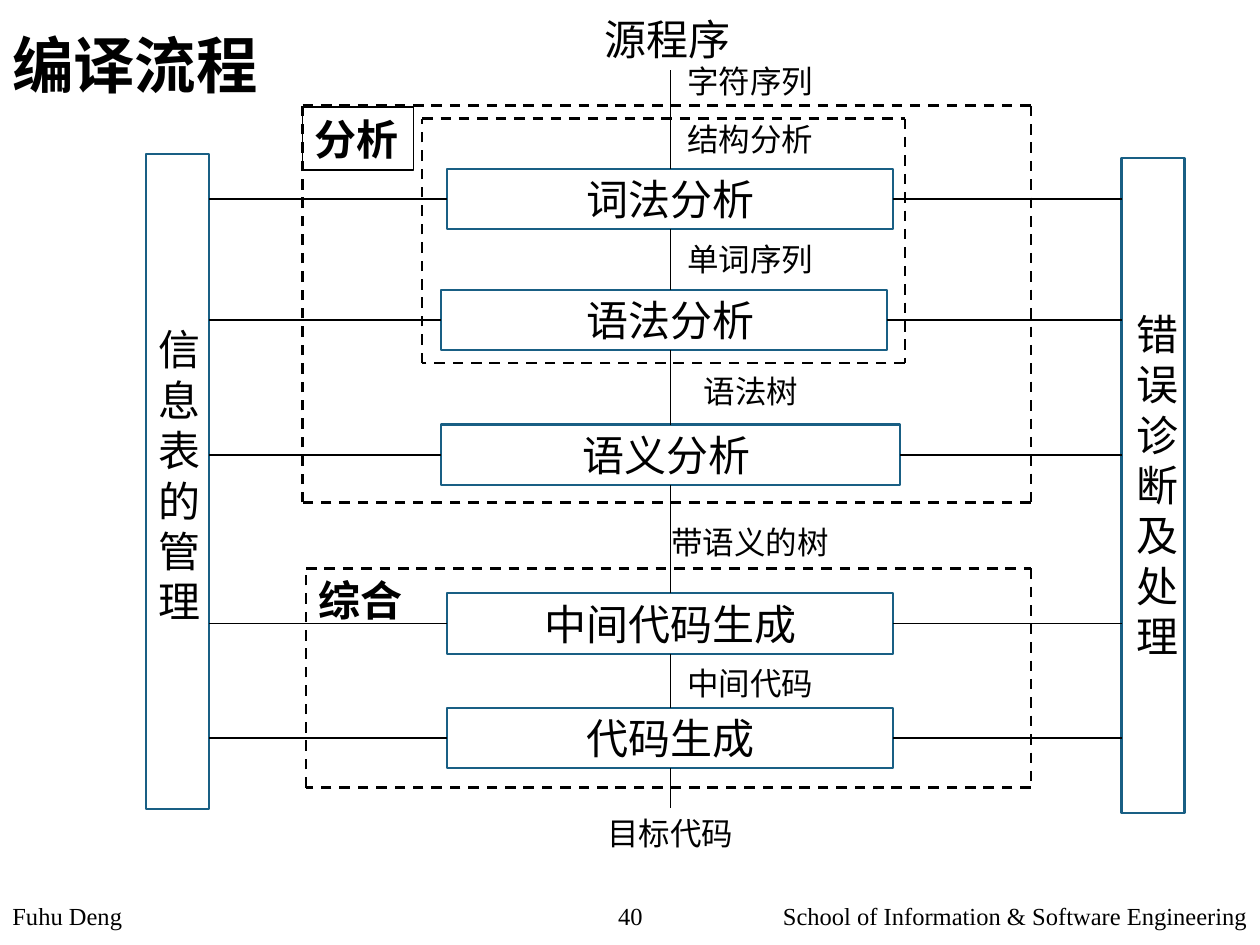
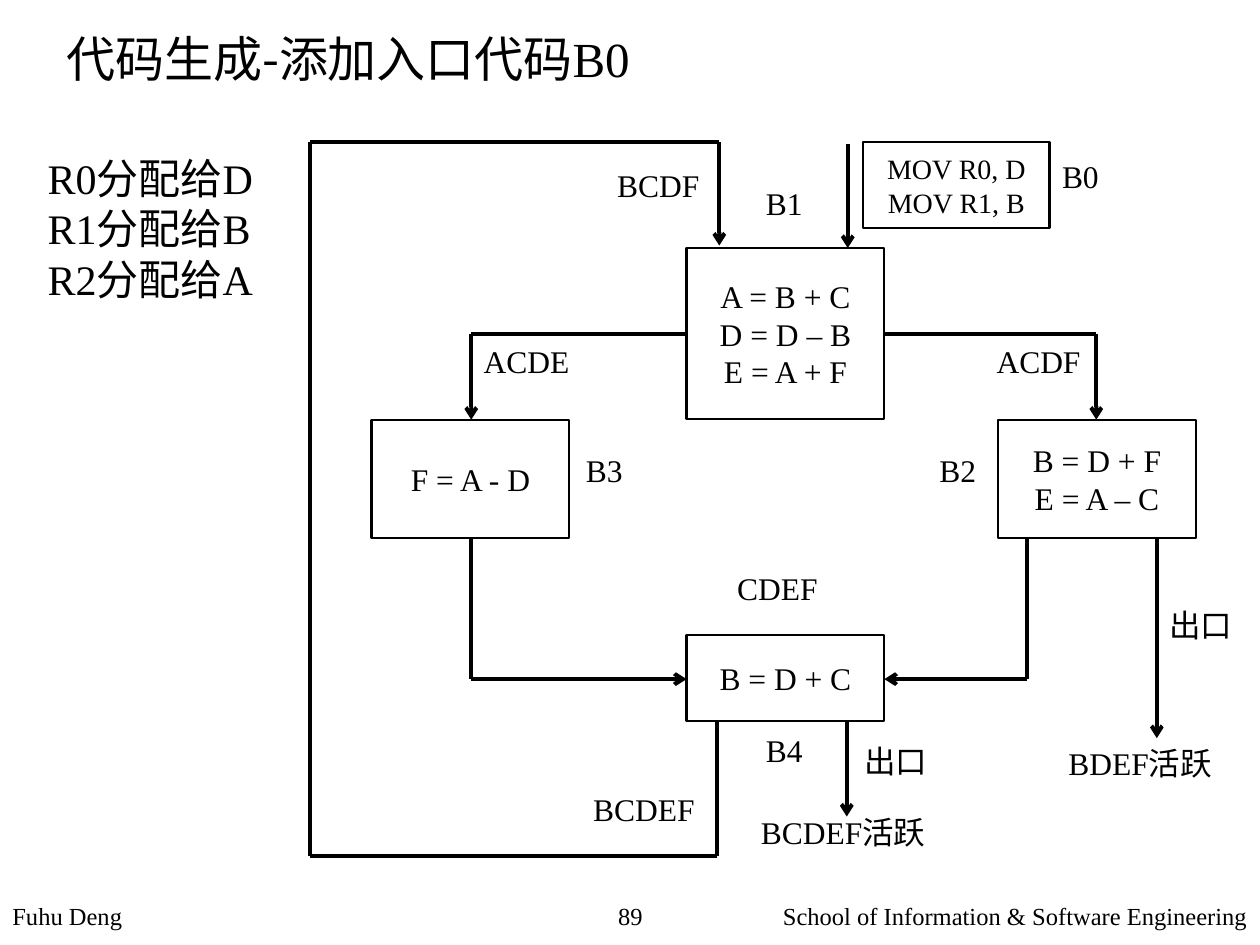
"""Build two compiler slides: the compilation flow and the entry code block."""
from dataclasses import dataclass, replace
from itertools import pairwise

from lxml import etree
from pptx import Presentation
from pptx.dml.color import RGBColor
from pptx.enum.dml import MSO_LINE
from pptx.enum.shapes import MSO_CONNECTOR, MSO_SHAPE
from pptx.enum.text import MSO_ANCHOR, PP_ALIGN
from pptx.oxml.ns import qn
from pptx.slide import Slide
from pptx.util import Cm, Pt

RECTANGLE = MSO_SHAPE.RECTANGLE
STRAIGHT = MSO_CONNECTOR.STRAIGHT
DASH = MSO_LINE.DASH
TOP, MIDDLE = MSO_ANCHOR.TOP, MSO_ANCHOR.MIDDLE
LEFT, CENTER, RIGHT = PP_ALIGN.LEFT, PP_ALIGN.CENTER, PP_ALIGN.RIGHT
BLACK, BLUE, WHITE = "000000", "195F84", "FFFFFF"
HAN_FONT, SERIF = "Noto Sans CJK SC", "Times New Roman"

Point = tuple[float, float]


@dataclass(frozen=True)
class Area:
    """A place on the page, in centimetres."""
    left: float
    top: float
    width: float
    height: float

    @property
    def right(self) -> float:
        """Right edge."""
        return self.left + self.width

    @property
    def bottom(self) -> float:
        """Bottom edge."""
        return self.top + self.height

    @property
    def middle(self) -> float:
        """Vertical centre."""
        return self.top + self.height / 2

    def lengths(self) -> tuple[Cm, Cm, Cm, Cm]:
        """Return the four lengths for python-pptx."""
        return Cm(self.left), Cm(self.top), Cm(self.width), Cm(self.height)


@dataclass(frozen=True)
class TextStyle:
    """How a text is set."""
    size: float
    font: str = "Calibri"
    bold: bool = False
    align: PP_ALIGN = LEFT
    anchor: MSO_ANCHOR = TOP
    wrap: bool = False


@dataclass(frozen=True)
class Label:
    """A text with its place and style."""
    text: str
    area: Area
    style: TextStyle


@dataclass(frozen=True)
class Stage:
    """One compiler stage: its frame and the left edge of its name."""
    name: str
    frame: Area
    name_left: float = 9.02


@dataclass(frozen=True)
class Column:
    """A tall side column with a name set one character a line."""
    name: str
    frame: Area
    name_area: Area


@dataclass(frozen=True)
class Edge:
    """A path through points, with or without an arrowhead at its end."""
    points: tuple[Point, ...]
    arrow: bool = True


FOOTER = TextStyle(14, SERIF, wrap=True)
HEADING = TextStyle(24, bold=True)
STAGE_NAME = TextStyle(24, align=CENTER, anchor=MIDDLE, wrap=True)
COLUMN_NAME = TextStyle(24, anchor=MIDDLE, wrap=True)
FLOW = TextStyle(18)
CODE = TextStyle(18, SERIF, align=CENTER, anchor=MIDDLE, wrap=True)
VARIABLES = TextStyle(18, SERIF)
LIVE = replace(VARIABLES, wrap=True)

STAGES = (
    Stage("词法分析", Area(9.02, 3.4, 8.99, 1.22)),
    Stage("语法分析", Area(8.89, 5.84, 8.99, 1.22)),
    Stage("语义分析", Area(8.89, 8.56, 9.25, 1.22), 8.94),
    Stage("中间代码生成", Area(9.02, 11.96, 8.99, 1.22)),
    Stage("代码生成", Area(9.02, 14.27, 8.99, 1.22)),
)
TABLE_COLUMN = Column("信息表的管理", Area(2.95, 3.1, 1.27, 13.21),
                      Area(2.95, 6.38, 1.27, 6.4))
ERROR_COLUMN = Column("错误诊断及处理", Area(22.61, 3.18, 1.27, 13.21),
                      Area(22.66, 6.05, 1.27, 7.44))
DASHED_FRAMES = (
    Area(6.1, 2.13, 14.68, 8),
    Area(8.51, 2.39, 9.73, 4.93),
    Area(6.17, 11.46, 14.61, 4.42),
)
FLOW_X = 13.51
FLOW_LABELS = (
    Label("源程序", Area(11.94, 0.15, 3.07, 1.27), TextStyle(24)),
    Label("字符序列", Area(13.61, 1.12, 3.07, 1.02), FLOW),
    Label("结构分析", Area(13.61, 2.29, 3.07, 1.02), FLOW),
    Label("单词序列", Area(13.61, 4.72, 3.07, 1.02), FLOW),
    Label("语法树", Area(13.94, 7.37, 2.44, 1.02), FLOW),
    Label("带语义的树", Area(13.28, 10.41, 3.71, 1.02), FLOW),
    Label("中间代码", Area(13.61, 13.26, 3.07, 1.02), FLOW),
    Label("目标代码", Area(11.99, 16.28, 3.07, 1.02), FLOW),
    Label("综合", Area(6.17, 11.46, 2.24, 1.27), HEADING),
)
CODE_BLOCKS = (
    Label("MOV R0, D\nMOV R1, B", Area(17.4, 2.87, 3.76, 1.73), replace(CODE, size=16)),
    Label("A = B + C\nD = D – B\nE = A + F", Area(13.84, 5, 3.99, 3.45), CODE),
    Label("B = D + F\nE = A – C", Area(20.12, 8.46, 3.99, 2.39), CODE),
    Label("F = A - D", Area(7.49, 8.46, 3.99, 2.39), CODE),
    Label("B = D + C", Area(13.84, 12.8, 3.99, 1.73), CODE),
)
EDGES = (
    Edge(((13.84, 6.73), (9.5, 6.73), (9.5, 8.46))),
    Edge(((17.83, 6.73), (22.1, 6.73), (22.1, 8.46))),
    Edge(((9.5, 10.85), (9.5, 13.69), (13.84, 13.69))),
    Edge(((20.7, 10.85), (20.7, 13.69), (17.83, 13.69))),
    Edge(((23.32, 10.85), (23.32, 14.88))),
    Edge(((14.45, 14.55), (14.45, 17.25), (6.25, 17.25),
          (6.25, 2.87), (14.5, 2.87), (14.5, 4.95))),
    Edge(((17.09, 2.9), (17.09, 5))),
    Edge(((17.07, 14.55), (17.07, 16.46))),
)
BLOCK_LABELS = (
    Label("B0", Area(21.16, 3.05, 1.27, 1.02), VARIABLES),
    Label("B1", Area(15.19, 3.58, 1.27, 1.02), VARIABLES),
    Label("B2", Area(18.69, 8.97, 1.27, 1.02), VARIABLES),
    Label("B3", Area(11.56, 8.97, 1.27, 1.02), VARIABLES),
    Label("B4", Area(15.19, 14.61, 1.27, 1.02), VARIABLES),
    Label("BCDF", Area(12.19, 3.23, 2.18, 1.02), VARIABLES),
    Label("ACDE", Area(9.5, 6.78, 2.26, 1.02), VARIABLES),
    Label("ACDF", Area(19.84, 6.78, 2.24, 1.02), VARIABLES),
    Label("CDEF", Area(14.61, 11.35, 2.16, 1.02), VARIABLES),
    Label("BCDEF", Area(11.71, 15.8, 2.59, 1.02), VARIABLES),
    Label("出口", Area(23.32, 12.09, 1.8, 1.02), VARIABLES),
    Label("出口", Area(17.17, 14.83, 1.8, 1.02), VARIABLES),
    Label("BDEF活跃", Area(21.29, 14.88, 3.43, 1.02), LIVE),
    Label("BCDEF活跃", Area(15.09, 16.26, 3.86, 1.02), LIVE),
    Label("R0分配给D\nR1分配给B\nR2分配给A", Area(0.71, 2.95, 4.7, 3.33),
          replace(LIVE, size=24)),
)


def color(value: str) -> RGBColor:
    """Turn a hex string into a colour."""
    return RGBColor.from_string(value)


def add_span(para, text: str, style: TextStyle) -> None:
    """Add one run to a paragraph."""
    span = para.add_run()
    span.text = text
    span.font.size = Pt(style.size)
    span.font.bold = style.bold
    span.font.color.rgb = color(BLACK)
    span.font.name = style.font
    han = etree.SubElement(span.font._element, qn("a:ea"))
    han.set("typeface", HAN_FONT)


def write(box, text: str, style: TextStyle) -> None:
    """Fill a box with one paragraph for each line of text."""
    frame = box.text_frame
    frame.word_wrap = style.wrap
    frame.vertical_anchor = style.anchor
    for index, line in enumerate(text.split("\n")):
        para = frame.add_paragraph() if index else frame.paragraphs[0]
        para.alignment = style.align
        add_span(para, line, style)


def add_label(page: Slide, label: Label):
    """Add a text box."""
    box = page.shapes.add_textbox(*label.area.lengths())
    write(box, label.text, label.style)
    return box


def add_frame(page: Slide, area: Area, line: str = BLACK, width: float = 1.25):
    """Add an unfilled rectangle."""
    box = page.shapes.add_shape(RECTANGLE, *area.lengths())
    box.shadow.inherit = False
    box.fill.background()
    box.line.color.rgb = color(line)
    box.line.width = Pt(width)
    return box


def add_line(page: Slide, start: Point, end: Point, width: float = 0.75,
             dashed: bool = False, arrow: bool = False) -> None:
    """Add a straight black line."""
    line = page.shapes.add_connector(STRAIGHT, *map(Cm, start + end))
    line.line.color.rgb = color(BLACK)
    line.line.width = Pt(width)
    if dashed:
        line.line.dash_style = DASH
    properties = line._element.spPr
    if arrow:
        etree.SubElement(properties.find(qn("a:ln")), qn("a:tailEnd")).set("type", "arrow")
    etree.SubElement(properties, qn("a:effectLst"))


def add_dashed_frame(page: Slide, area: Area) -> None:
    """Add four dashed lines around an area."""
    corners = ((area.left, area.top), (area.right, area.top),
               (area.right, area.bottom), (area.left, area.bottom))
    for start, end in pairwise(corners + corners[:1]):
        add_line(page, start, end, 1.5, dashed=True)


def add_edge(page: Slide, edge: Edge) -> None:
    """Add the lines of a path."""
    for start, end in pairwise(edge.points):
        add_line(page, start, end, 2.25, arrow=edge.arrow and end == edge.points[-1])


def add_page(deck, number: int) -> Slide:
    """Add a blank page with its footer."""
    page = deck.slides.add_slide(deck.slide_layouts[6])
    page.background.fill.solid()
    page.background.fill.fore_color.rgb = color(WHITE)
    for text, left, width, align in (
        ("Fuhu Deng", 0, 11.91, LEFT),
        (str(number), 11.91, 1.6, CENTER),
        ("School of Information & Software Engineering", 13.49, 11.91, RIGHT),
    ):
        add_label(page, Label(text, Area(left, 18.03, width, 1.02), replace(FOOTER, align=align)))
    return page


def build_flow(deck) -> None:
    """Draw the stages of a compiler."""
    page = add_page(deck, 40)
    add_label(page, Label("编译流程", Area(0, 0, 5.51, 2.59),
                          TextStyle(35.1, "Arial", bold=True, anchor=MIDDLE)))
    for column in (TABLE_COLUMN, ERROR_COLUMN):
        add_frame(page, column.frame, BLUE)
        add_label(page, Label(column.name, column.name_area, COLUMN_NAME))
    for stage in STAGES:
        frame = stage.frame
        add_frame(page, frame, BLUE)
        name_area = Area(stage.name_left, frame.top - 0.03, 8.99, 1.27)
        add_label(page, Label(stage.name, name_area, STAGE_NAME))
        add_line(page, (TABLE_COLUMN.frame.right, frame.middle), (frame.left, frame.middle))
        add_line(page, (frame.right, frame.middle), (ERROR_COLUMN.frame.left, frame.middle))
    starts = [1.42] + [stage.frame.bottom for stage in STAGES]
    ends = [stage.frame.top for stage in STAGES] + [16.28]
    for start, end in zip(starts, ends):
        add_line(page, (FLOW_X, start), (FLOW_X, end))
    for area in DASHED_FRAMES:
        add_dashed_frame(page, area)
    write(add_frame(page, Area(6.1, 2.16, 2.24, 1.27), width=0.75), "分析", HEADING)
    for label in FLOW_LABELS:
        add_label(page, label)


def build_entry_code(deck) -> None:
    """Draw the flow graph with the entry block."""
    page = add_page(deck, 89)
    style = TextStyle(28, HAN_FONT, wrap=True)
    title = add_label(page, Label("代码生成-添加入口代码", Area(1.09, 0.46, 18.19, 1.85), style))
    add_span(title.text_frame.paragraphs[0], "B0", replace(style, font=SERIF))
    for block in CODE_BLOCKS:
        write(add_frame(page, block.area), block.text, block.style)
    for edge in EDGES:
        add_edge(page, edge)
    for label in BLOCK_LABELS:
        add_label(page, label)


def main() -> None:
    """Build and save the deck."""
    deck = Presentation()
    deck.slide_width, deck.slide_height = Cm(25.4), Cm(19.05)
    build_flow(deck)
    build_entry_code(deck)
    deck.save("out.pptx")


if __name__ == "__main__":
    main()
